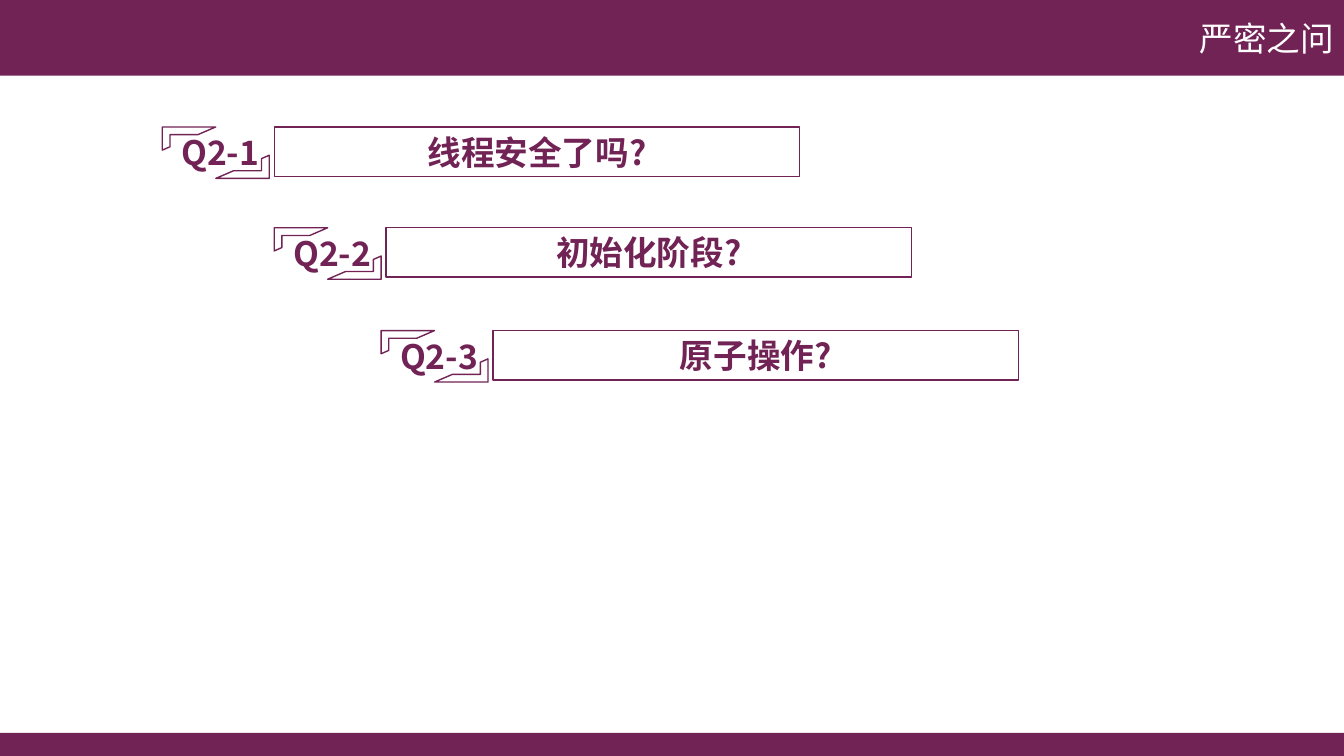
from lxml import etree
from pptx import Presentation
from pptx.dml.color import RGBColor
from pptx.enum.shapes import MSO_SHAPE
from pptx.enum.text import MSO_ANCHOR, MSO_AUTO_SIZE, PP_ALIGN
from pptx.oxml.ns import qn
from pptx.util import Inches, Pt

RECTANGLE = MSO_SHAPE.RECTANGLE
HALF_FRAME = MSO_SHAPE.HALF_FRAME
MIDDLE, TOP = MSO_ANCHOR.MIDDLE, MSO_ANCHOR.TOP
LEFT, CENTER, RIGHT = PP_ALIGN.LEFT, PP_ALIGN.CENTER, PP_ALIGN.RIGHT
FIT_SHAPE, NO_FIT = MSO_AUTO_SIZE.SHAPE_TO_FIT_TEXT, MSO_AUTO_SIZE.NONE

COLORS = {"plum": "712355", "white": "FFFFFF"}
FONT = "Noto Sans CJK SC"
SLIDE_WIDTH, SLIDE_HEIGHT = 13.33, 7.5
FOOTER_HEIGHT = 0.23
FRAME_WIDTH, FRAME_HEIGHT = 0.53, 0.23


def add_box(kind, left, top, width, height, fill, outlined=True):
    shape = slide.shapes.add_shape(kind, Inches(left), Inches(top), Inches(width), Inches(height))
    shape.shadow.inherit = False
    shape.fill.solid()
    shape.fill.fore_color.rgb = RGBColor.from_string(COLORS[fill])
    if outlined:
        shape.line.color.rgb = RGBColor.from_string(COLORS["plum"])
        shape.line.width = Pt(1)
    else:
        shape.line.fill.background()
    return shape


def write_text(shape, text, color, alignment, anchor, bold):
    frame = shape.text_frame
    frame.text = text
    frame.vertical_anchor = anchor
    paragraph = frame.paragraphs[0]
    paragraph.alignment = alignment
    font = paragraph.font
    font.name = FONT
    font.size = Pt(24)
    font.bold = bold
    font.color.rgb = RGBColor.from_string(COLORS[color])
    properties = paragraph.runs[0].font
    properties.name = FONT
    run_properties = paragraph.runs[0]._r.get_or_add_rPr()
    etree.SubElement(run_properties, qn("a:ea")).set("typeface", FONT)


presentation = Presentation()
presentation.slide_width = Inches(SLIDE_WIDTH)
presentation.slide_height = Inches(SLIDE_HEIGHT)
slide = presentation.slides.add_slide(presentation.slide_layouts[5])

title = slide.shapes.title
title.left, title.top = Inches(0), Inches(0)
title.width, title.height = Inches(SLIDE_WIDTH), Inches(0.75)
title.fill.solid()
title.fill.fore_color.rgb = RGBColor.from_string(COLORS["plum"])
write_text(title, "严密之问", "white", RIGHT, MIDDLE, False)
title.text_frame.auto_size = NO_FIT

add_box(RECTANGLE, 0, SLIDE_HEIGHT - FOOTER_HEIGHT, SLIDE_WIDTH, FOOTER_HEIGHT, "plum", False)

questions = [
    ("Q2-1", "线程安全了吗?", 1.61, 1.26),
    ("Q2-2", "初始化阶段?", 2.72, 2.26),
    ("Q2-3", "原子操作?", 3.78, 3.28),
]
for number, question, left, top in questions:
    question_box = add_box(RECTANGLE, left + 1.11, top, 5.21, 0.49, "white")
    write_text(question_box, question.replace("?", "?"), "plum", CENTER, MIDDLE, True)

    add_box(HALF_FRAME, left, top, FRAME_WIDTH, FRAME_HEIGHT, "white")
    lower_frame = add_box(HALF_FRAME, left + FRAME_WIDTH, top + 0.28, FRAME_WIDTH, FRAME_HEIGHT, "white")
    lower_frame.rotation = 180

    label = slide.shapes.add_textbox(Inches(left + 0.09), Inches(top), Inches(1), Inches(0.5))
    write_text(label, number, "plum", LEFT, TOP, True)
    label.text_frame.word_wrap = False
    label.text_frame.auto_size = FIT_SHAPE

presentation.save("out.pptx")
